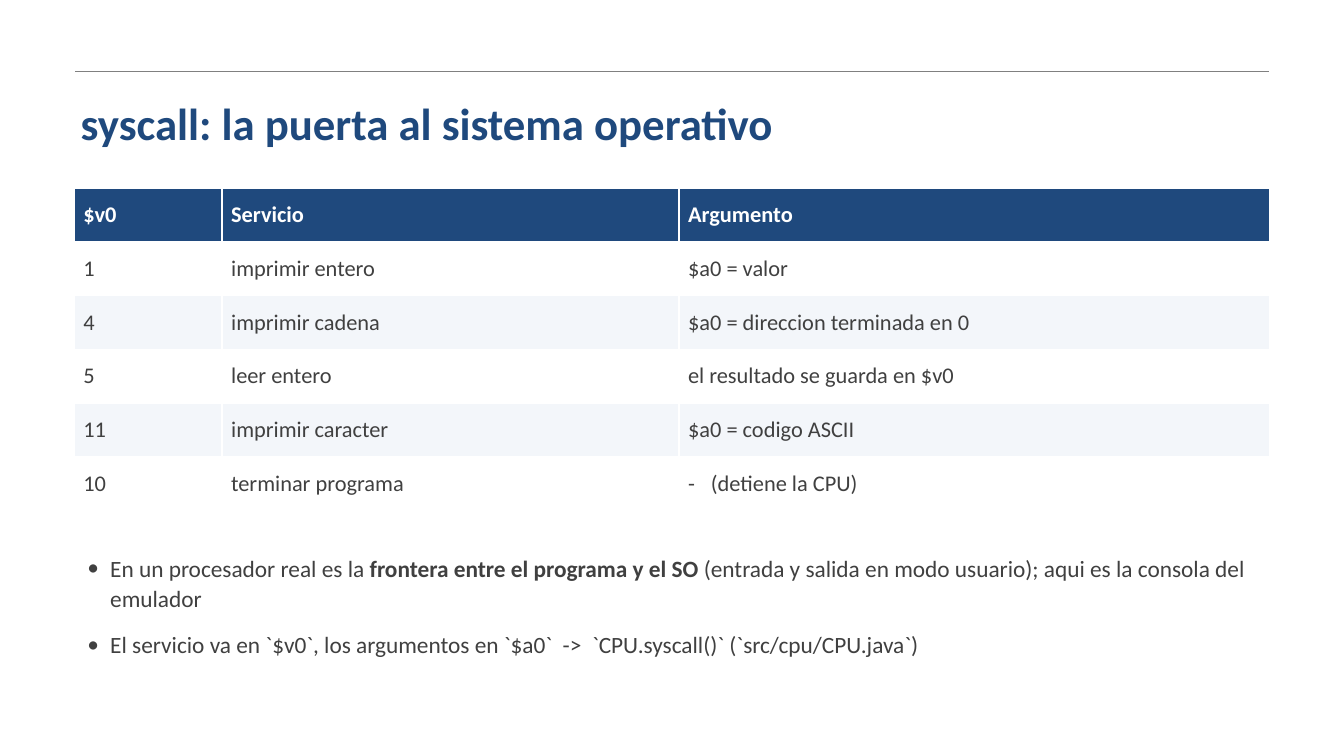
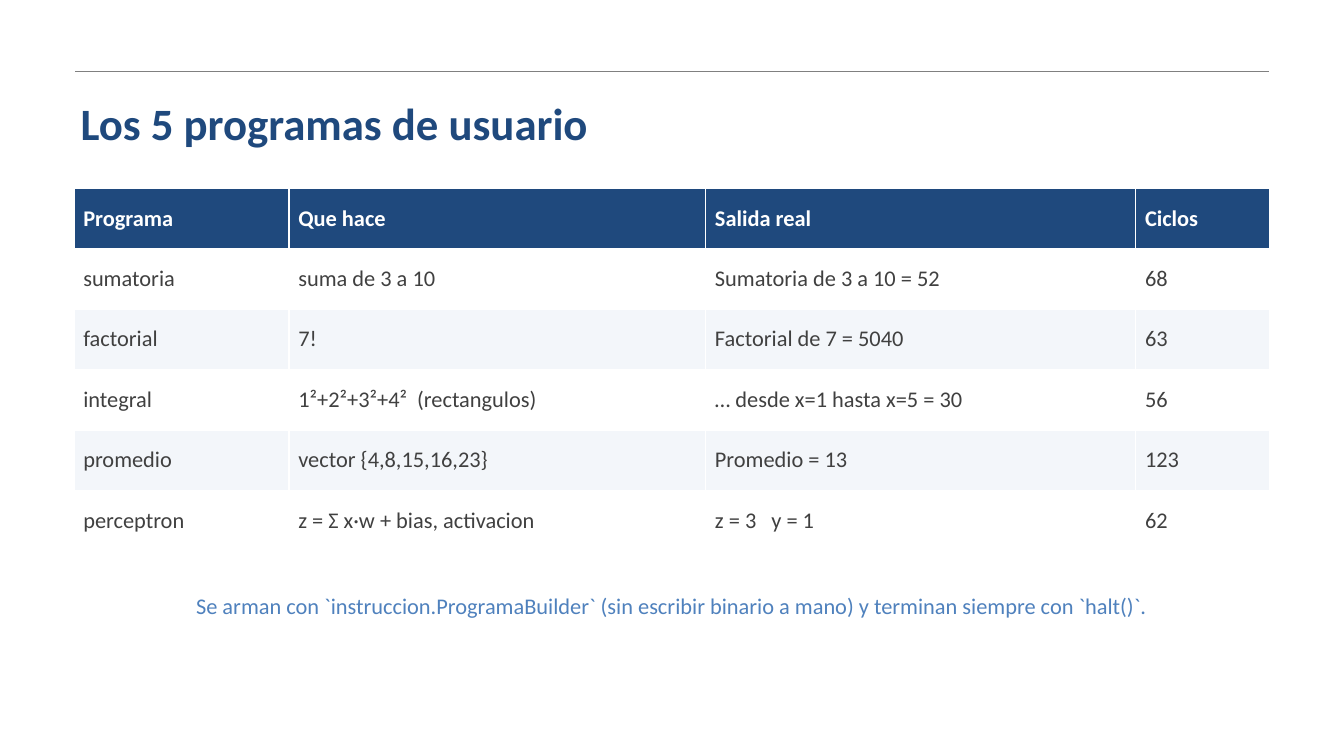
from dataclasses import dataclass

from lxml.etree import SubElement
from pptx import Presentation
from pptx.dml.color import RGBColor
from pptx.enum.shapes import MSO_CONNECTOR
from pptx.enum.text import MSO_ANCHOR, MSO_AUTO_SIZE, PP_ALIGN
from pptx.oxml.ns import qn
from pptx.util import Inches, Pt


@dataclass(frozen=True)
class Theme:
    font: str = "Calibri"
    navy: str = "1F497D"
    blue: str = "4F81BD"
    ink: str = "404040"
    rule: str = "808080"
    white: str = "FFFFFF"
    band: str = "F3F6FA"
    title_size: float = 24
    list_size: float = 12.5
    table_size: float = 12


theme = Theme()


def style_paragraph(paragraph, size, color, bold=False):
    font = paragraph.font
    font.name = theme.font
    font.size = Pt(size)
    font.bold = bold
    font.color.rgb = RGBColor.from_string(color)


def add_marker(paragraph, tag, **attributes):
    properties = paragraph._p.get_or_add_pPr()
    element = SubElement(properties, qn(tag))
    for name, value in attributes.items():
        element.set(name, str(value))
    return element


contents = [
    {
        "title": "syscall: la puerta al sistema operativo",
        "layout": 1,
        "columns": [1.1, 3.4, 4.4],
        "row_height": 0.4,
        "tab_stop": 0.17,
        "rows": [
            ["$v0", "Servicio", "Argumento"],
            ["1", "imprimir entero", "$a0 = valor"],
            ["4", "imprimir cadena", "$a0 = direccion terminada en 0"],
            ["5", "leer entero", "el resultado se guarda en $v0"],
            ["11", "imprimir caracter", "$a0 = codigo ASCII"],
            ["10", "terminar programa", "-\t(detiene la CPU)"],
        ],
    },
    {
        "title": "Los 5 programas de usuario",
        "layout": 5,
        "columns": [1.6, 3.1, 3.2, 1],
        "row_height": 0.45,
        "tab_stop": 0.42,
        "rows": [
            ["Programa", "Que hace", "Salida real", "Ciclos"],
            ["sumatoria", "suma de 3 a 10", "Sumatoria de 3 a 10 = 52", "68"],
            ["factorial", "7!", "Factorial de 7 = 5040", "63"],
            ["integral", "1²+2²+3²+4²  (rectangulos)", "… desde x=1 hasta x=5 = 30", "56"],
            ["promedio", "vector {4,8,15,16,23}", "Promedio = 13", "123"],
            ["perceptron", "z = Σ x·w + bias, activacion", "z = 3\ty = 1", "62"],
        ],
    },
]

deck = Presentation()
deck.slide_width = Inches(10)
deck.slide_height = deck.slide_width * 9 // 16
pages = []

for content in contents:
    page = deck.slides.add_slide(deck.slide_layouts[content["layout"]])
    pages.append(page)

    rule = page.shapes.add_connector(
        MSO_CONNECTOR.STRAIGHT, Inches(0.56), Inches(0.53), Inches(9.44), Inches(0.53)
    )
    rule.line.color.rgb = RGBColor.from_string(theme.rule)
    rule.line.width = Pt(0.75)
    SubElement(rule._element.spPr, qn("a:effectLst"))

    title = page.shapes.title
    title.left, title.top = Inches(0.5), Inches(0.75)
    title.width, title.height = Inches(9), Inches(0.37)
    title.text_frame.text = content["title"]
    title.text_frame.auto_size = MSO_AUTO_SIZE.NONE
    title.text_frame.vertical_anchor = MSO_ANCHOR.MIDDLE
    paragraph = title.text_frame.paragraphs[0]
    paragraph.alignment = PP_ALIGN.LEFT
    paragraph.line_spacing = Pt(26)
    style_paragraph(paragraph, theme.title_size, theme.navy, bold=True)

    rows, columns = content["rows"], content["columns"]
    table = page.shapes.add_table(
        len(rows), len(columns), Inches(0.55), Inches(1.4),
        Inches(sum(columns)), Inches(content["row_height"] * len(rows)),
    ).table
    table.horz_banding = False
    for column, width in zip(table.columns, columns):
        column.width = Inches(width)

    for row_number, row in enumerate(rows):
        table.rows[row_number].height = Inches(content["row_height"])
        header = row_number == 0
        fill = theme.navy if header else (theme.white, theme.band)[(row_number + 1) % 2]
        for column_number, text in enumerate(row):
            cell = table.cell(row_number, column_number)
            cell.text = text
            cell.vertical_anchor = MSO_ANCHOR.MIDDLE
            cell.margin_left, cell.margin_right = Inches(0.07), Inches(0.06)
            cell.margin_top = cell.margin_bottom = Inches(0.03)
            cell.fill.solid()
            cell.fill.fore_color.rgb = RGBColor.from_string(fill)
            paragraph = cell.text_frame.paragraphs[0]
            if "\t" in text:
                stops = add_marker(paragraph, "a:tabLst")
                stop = SubElement(stops, qn("a:tab"))
                stop.set("pos", str(Inches(content["tab_stop"])))
                stop.set("algn", "l")
            style_paragraph(
                paragraph, theme.table_size, theme.white if header else theme.ink, header
            )

syscall_page, programs_page = pages

notes = [
    [
        ("En un procesador real es la ", False),
        ("frontera entre el programa y el SO", True),
        (" (entrada y salida en modo usuario); aqui es la consola del emulador", False),
    ],
    [
        (
            "El servicio va en `$v0`, los argumentos en `$a0`  ->  "
            "`CPU.syscall()` (`src/cpu/CPU.java`)",
            False,
        )
    ],
]
body = syscall_page.placeholders[1]
body.left, body.top = Inches(0.55), Inches(4.05)
body.width, body.height = Inches(8.9), Inches(1.1)
frame = body.text_frame
frame.auto_size = MSO_AUTO_SIZE.NONE
for number, spans in enumerate(notes):
    paragraph = frame.paragraphs[0] if number == 0 else frame.add_paragraph()
    paragraph.line_spacing = 1.1
    paragraph.space_before = Pt(0)
    paragraph.space_after = Pt(8)
    properties = paragraph._p.get_or_add_pPr()
    properties.set("marL", str(Inches(0.17)))
    properties.set("indent", str(-Inches(0.17)))
    add_marker(paragraph, "a:buFont", typeface=theme.font)
    add_marker(paragraph, "a:buChar", char="•")
    style_paragraph(paragraph, theme.list_size, theme.ink)
    for text, strong in spans:
        span = paragraph.add_run()
        span.text = text
        if strong:
            span.font.bold = True

caption = programs_page.shapes.add_textbox(Inches(0.55), Inches(4.4), Inches(8.9), Inches(0.6))
frame = caption.text_frame
frame.word_wrap = True
frame.margin_left = frame.margin_right = frame.margin_top = frame.margin_bottom = 0
frame.text = (
    "Se arman con `instruccion.ProgramaBuilder` (sin escribir binario a mano) "
    "y terminan siempre con `halt()`."
)
paragraph = frame.paragraphs[0]
paragraph.alignment = PP_ALIGN.CENTER
paragraph.line_spacing = 1.05
style_paragraph(paragraph, theme.table_size, theme.blue)

deck.save("out.pptx")
